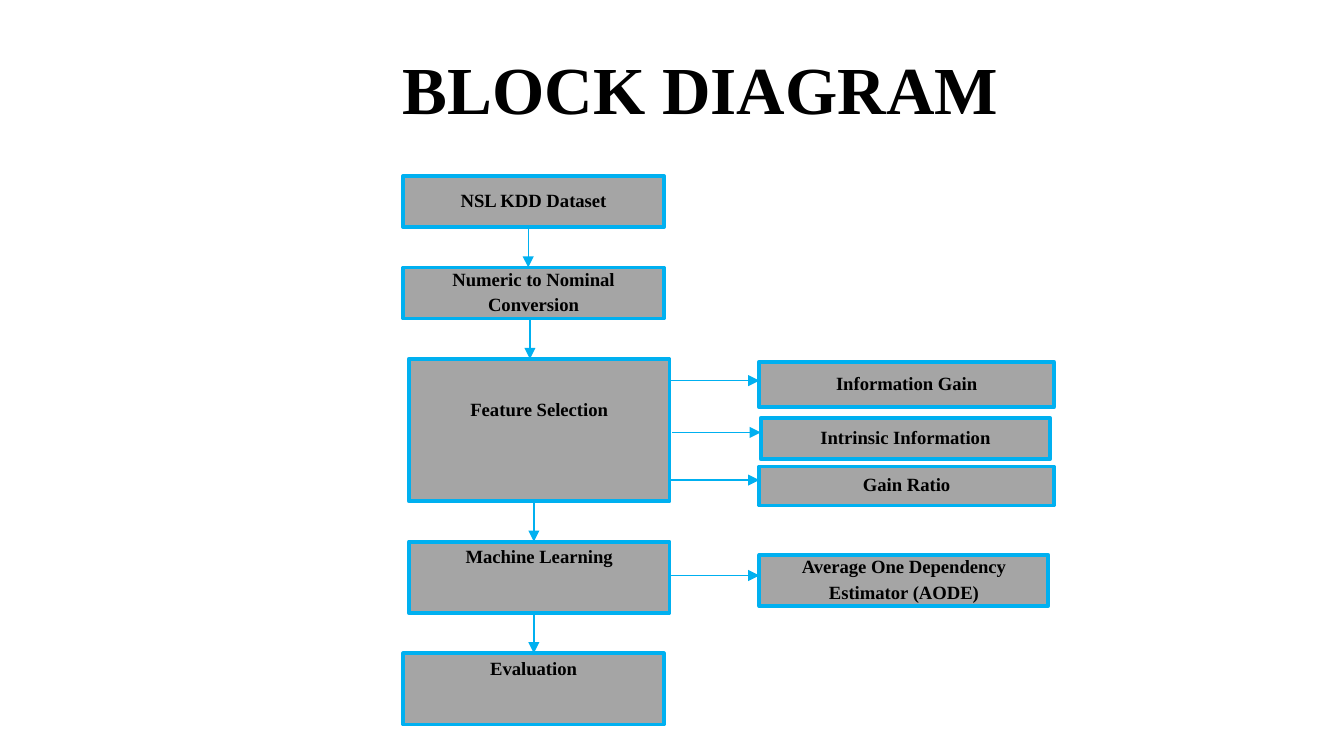
from dataclasses import dataclass

from lxml import etree
from pptx import Presentation
from pptx.dml.color import RGBColor
from pptx.enum import shapes, text
from pptx.oxml import ns
from pptx.util import Pt


@dataclass(frozen=True)
class Theme:
    font: str = "Times New Roman"
    ink: RGBColor = RGBColor(0x00, 0x00, 0x00)
    block: RGBColor = RGBColor(0xA5, 0xA5, 0xA5)
    accent: RGBColor = RGBColor(0x00, 0xB0, 0xF0)
    title_size: float = 36
    label_size: float = 10
    border: float = 2
    arrow: float = 0.75


THEME = Theme()

# Main stages: label, left offset, height, bottom inset, offset of the arrow below
STAGE_WIDTH, STAGE_GAP = 139.7, 21.6
CENTRED, RAISED = 3.5, 24.5
STAGES = [
    ("NSL KDD Dataset", 0, 27.4, CENTRED, 67),
    ("Numeric to Nominal Conversion", 0, 27.4, CENTRED, 67.9),
    ("Feature Selection", 3, 76.3, RAISED, 70),
    ("Machine Learning", 3, 38.2, RAISED, 70),
    ("Evaluation", 0, 38.2, RAISED, None),
]

# Methods: label, left, top, width, height, arrow height, arrow start
METHODS = [
    ("Information Gain", 190.8, 99.5, 157.7, 24.5, 109.6, 142.7),
    ("Intrinsic Information", 191.6, 129.5, 154.8, 22.3, 137.4, 144),
    ("Gain Ratio", 190.8, 155.6, 157.7, 20.9, 162.9, 142.7),
    ("Average One Dependency Estimator (AODE)", 190.8, 203, 154.8, 27.4, 214, 142.7),
]


def style_text(frame, content, size):
    frame.word_wrap = True
    frame.text = content
    font = frame.paragraphs[0].runs[0].font
    font.name, font.size, font.bold = THEME.font, Pt(size), True
    font.color.rgb = THEME.ink


def add_block(slide, label, left, top, width, height, bottom_inset=CENTRED):
    block = slide.shapes.add_shape(
        shapes.MSO_SHAPE.RECTANGLE, Pt(left), Pt(top), Pt(width), Pt(height))
    block.shadow.inherit = False
    block.fill.solid()
    block.fill.fore_color.rgb = THEME.block
    block.line.color.rgb = THEME.accent
    block.line.width = Pt(THEME.border)
    frame = block.text_frame
    style_text(frame, label, THEME.label_size)
    frame.margin_top, frame.margin_bottom = 0, Pt(bottom_inset)
    frame.vertical_anchor = text.MSO_ANCHOR.MIDDLE
    frame.paragraphs[0].alignment = text.PP_ALIGN.CENTER
    frame.paragraphs[0].line_spacing = 1.15


def add_arrow(slide, x1, y1, x2, y2):
    arrow = slide.shapes.add_connector(
        shapes.MSO_CONNECTOR.STRAIGHT, Pt(x1), Pt(y1), Pt(x2), Pt(y2))
    arrow.line.color.rgb = THEME.accent
    arrow.line.width = Pt(THEME.arrow)
    etree.SubElement(arrow.line._get_or_add_ln(), ns.qn("a:tailEnd"), type="triangle")
    etree.SubElement(arrow._element.spPr, ns.qn("a:effectLst"))


def add_title(slide, left, top, width, height):
    title = slide.shapes.add_textbox(Pt(left), Pt(top), Pt(width), Pt(height))
    style_text(title.text_frame, "BLOCK DIAGRAM", THEME.title_size)
    title.text_frame.margin_top = Pt(8)


def add_stages(slide, left, top):
    for label, indent, height, inset, arrow_x in STAGES:
        add_block(slide, label, left + indent, top, STAGE_WIDTH, height, inset)
        bottom = top + height
        top = bottom + STAGE_GAP
        if arrow_x is not None:
            add_arrow(slide, left + arrow_x, bottom, left + arrow_x, top)


def add_methods(slide, left, top):
    for label, x, y, width, height, arrow_y, arrow_start in METHODS:
        add_block(slide, label, left + x, top + y, width, height)
        add_arrow(slide, left + arrow_start, top + arrow_y, left + x, top + arrow_y)


def main():
    deck = Presentation()
    deck.slide_width, deck.slide_height = Pt(720), Pt(405)
    slide = deck.slides.add_slide(deck.slide_layouts[6])
    add_title(slide, 208.8, 17.3, 368, 39)
    # Both columns share the diagram's top left corner
    add_stages(slide, 216, 94.3)
    add_methods(slide, 216, 94.3)
    deck.save("out.pptx")


if __name__ == "__main__":
    main()
